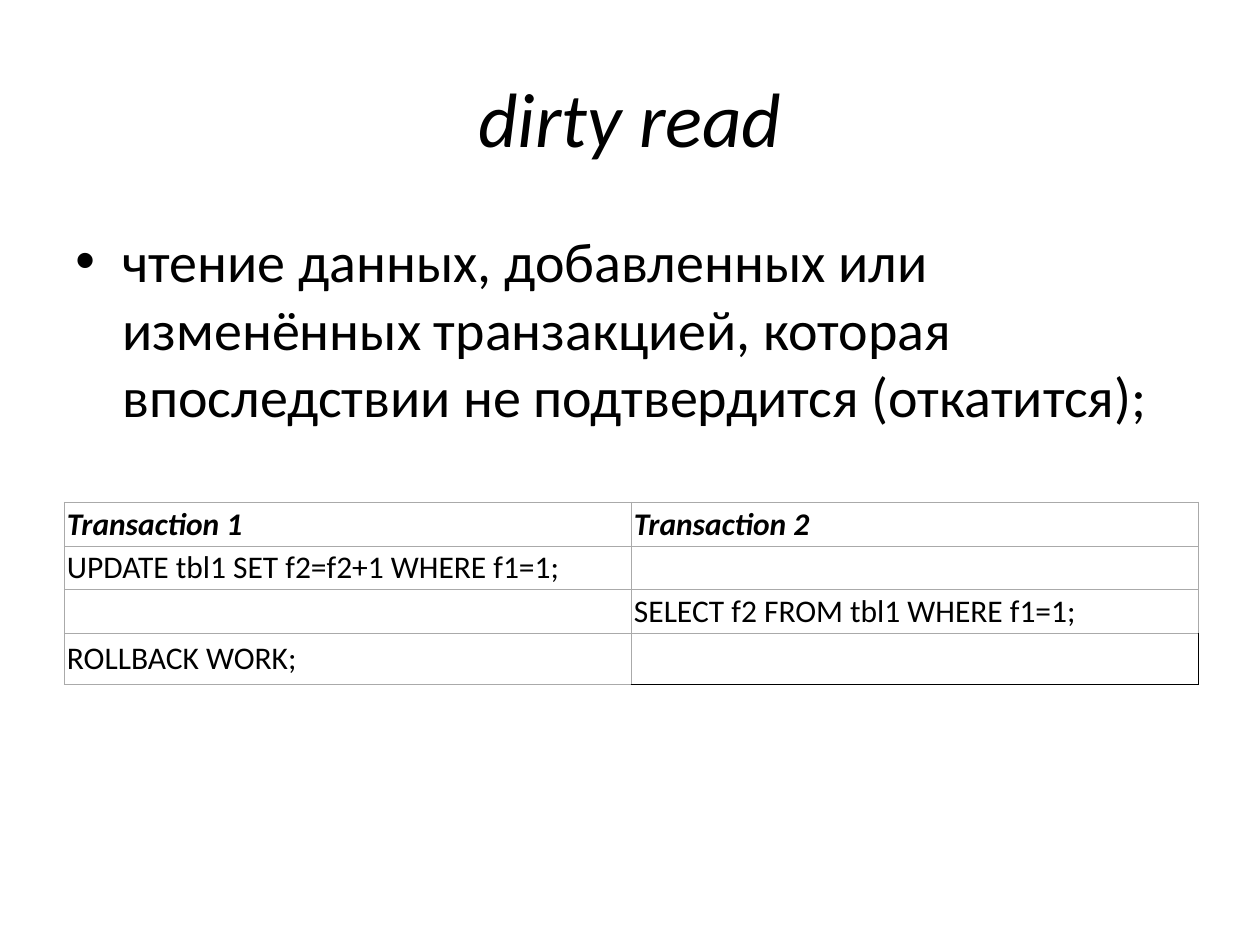
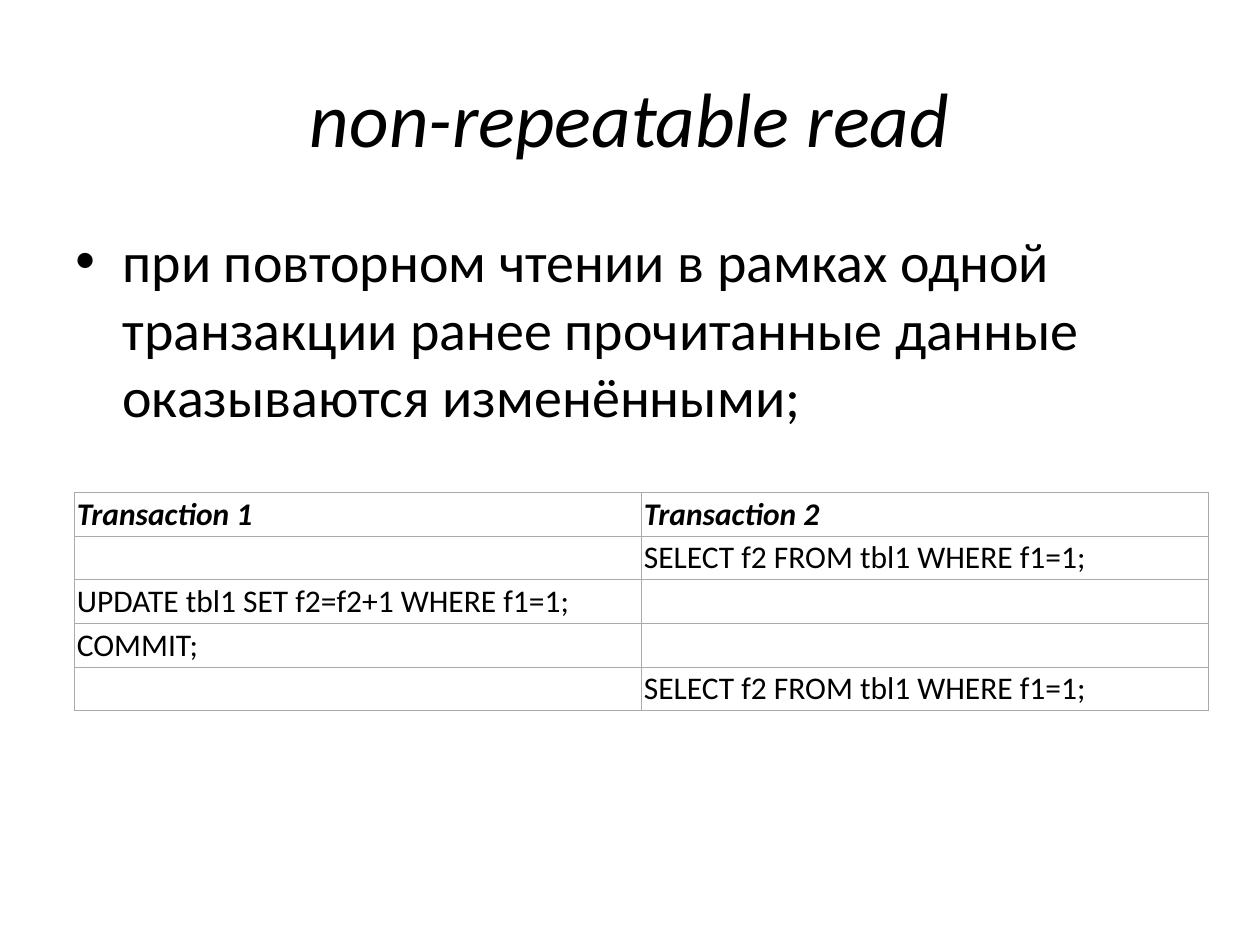
from lxml.etree import SubElement as Sub
from pptx import Presentation
from pptx.dml.color import RGBColor as Rgb
from pptx.enum.text import MSO_ANCHOR as Anchor, PP_ALIGN as Align
from pptx.oxml.ns import qn
from pptx.util import Cm, Pt

COLORS = {"text": "000000", "paper": "FFFFFF", "grid": "AAAAAA"}
FONT = "Calibri"
HEAD = ("Transaction 1", "Transaction 2")
UPDATE = "UPDATE tbl1 SET f2=f2+1 WHERE f1=1;"
SELECT = "SELECT f2 FROM tbl1 WHERE f1=1;"

# Boxes in cm: left, top, width, height
TITLE = (1.27, 0.76, 22.86, 3.18)
BODY = (1.27, 4.45, 22.86, 12.57)
ROW, LAST, INSET = 0.88, 1.03, 0.05


def style(par, size, bold=False, italic=False):
    for run in par.runs:
        font = run.font
        font.name, font.size = FONT, Pt(size)
        font.bold, font.italic = bold, italic
        font.color.rgb = Rgb.from_string(COLORS["text"])


def add_text(slide, box, text, size, anchor, italic=False):
    frame = slide.shapes.add_textbox(*map(Cm, box)).text_frame
    frame.word_wrap = True
    frame.vertical_anchor = anchor
    par = frame.paragraphs[0]
    par.text = text
    style(par, size, italic=italic)
    return par


def add_title(slide, box, text):
    par = add_text(slide, box, text, 44, Anchor.MIDDLE, italic=True)
    par.alignment = Align.CENTER


def add_bullet(slide, box, text):
    par = add_text(slide, box, text, 32, Anchor.TOP)
    par.space_before = Pt(6.4)
    props = par._p.get_or_add_pPr()
    props.set("marL", str(Cm(0.95)))
    props.set("indent", str(-Cm(0.95)))
    Sub(props, qn("a:buFont"), typeface="Arial")
    Sub(props, qn("a:buChar"), char="•")


def add_edges(cell, edges):
    props = cell._tc.get_or_add_tcPr()
    for side in "LRTB":
        color, width = edges.get(side, ("grid", 0.75))
        line = Sub(props, qn("a:ln" + side), w=str(Pt(width)))
        fill = Sub(line, qn("a:solidFill"))
        Sub(fill, qn("a:srgbClr"), val=COLORS[color])


def fill_cell(cell, text, head, bare):
    add_edges(cell, {side: ("text", 1) for side in "RB"} if bare else {})
    if bare:
        cell.fill.background()
    else:
        cell.fill.solid()
        cell.fill.fore_color.rgb = Rgb.from_string(COLORS["paper"])
        cell.margin_left = cell.margin_right = Cm(INSET)
        cell.margin_top = cell.margin_bottom = Cm(INSET)
        cell.vertical_anchor = Anchor.MIDDLE
    if text:
        par = cell.text_frame.paragraphs[0]
        par.text = text
        style(par, 18, head, head)


def add_steps(slide, left, top, steps, bare_end):
    """Timeline of two transactions; bare_end leaves the last cell unstyled."""
    rows = [HEAD, *steps]
    last = len(rows) - 1
    sizes = [ROW] * last + [LAST if bare_end else ROW]
    frame = slide.shapes.add_table(len(rows), 2, Cm(left), Cm(top),
                                   Cm(22.86), Cm(sum(sizes)))
    table = frame.table
    table.first_row = table.horz_banding = False
    for r, (row, size) in enumerate(zip(rows, sizes)):
        table.rows[r].height = Cm(size)
        for c, text in enumerate(row):
            bare = bare_end and (r, c) == (last, 1)
            fill_cell(table.cell(r, c), text, r == 0, bare)


def add_slide(deck, title, text, left, top, steps, bare_end=False):
    slide = deck.slides.add_slide(deck.slide_layouts[6])
    add_title(slide, TITLE, title)
    add_bullet(slide, BODY, text)
    add_steps(slide, left, top, steps, bare_end)


def main():
    deck = Presentation()
    deck.slide_width, deck.slide_height = Cm(25.4), Cm(19.05)
    add_slide(deck, "dirty read",
              "чтение данных, добавленных или изменённых транзакцией, "
              "которая впоследствии не подтвердится (откатится);",
              1.3, 10.13,
              [(UPDATE, ""), ("", SELECT), ("ROLLBACK WORK;", "")],
              bare_end=True)
    add_slide(deck, "non-repeatable read",
              "при повторном чтении в рамках одной транзакции ранее "
              "прочитанные данные оказываются изменёнными;",
              1.5, 9.93,
              [("", SELECT), (UPDATE, ""), ("COMMIT;", ""), ("", SELECT)])
    deck.save("out.pptx")


if __name__ == "__main__":
    main()
